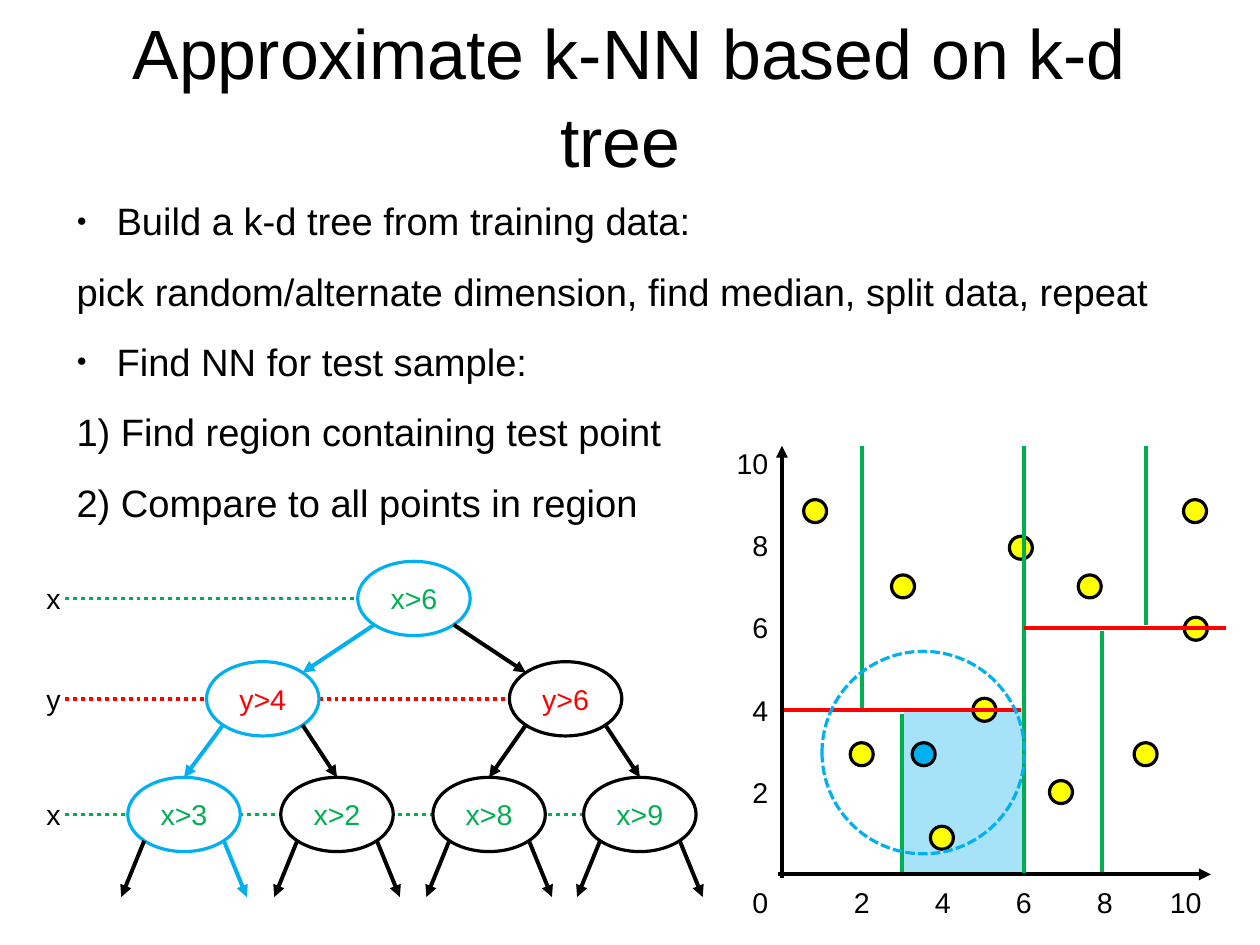
from lxml.etree import SubElement
from pptx import Presentation
from pptx.dml.color import RGBColor
from pptx.enum.dml import MSO_LINE
from pptx.enum.shapes import MSO_CONNECTOR, MSO_SHAPE
from pptx.enum.text import MSO_ANCHOR, MSO_AUTO_SIZE, PP_ALIGN
from pptx.oxml.ns import qn
from pptx.util import Cm, Pt

BLACK = RGBColor(0x00, 0x00, 0x00)
WHITE = RGBColor(0xFF, 0xFF, 0xFF)
GREEN = RGBColor(0x00, 0xB0, 0x50)
RED = RGBColor(0xFF, 0x00, 0x00)
BLUE = RGBColor(0x00, 0xB0, 0xF0)
YELLOW = RGBColor(0xFF, 0xFF, 0x00)

BODY = [
    ("Build a k-d tree from training data:", True),
    ("pick random/alternate dimension, find median, split data, repeat", False),
    ("Find NN for test sample:", True),
    ("1) Find region containing test point", False),
    ("2) Compare to all points in region", False),
]
LEVELS = [("x", 0.83, GREEN), ("y", 3.06, RED), ("x", 5.63, GREEN)]
NODES = [
    [("x>6", 8.45, BLUE)],
    [("y>4", 5.09, BLUE), ("y>6", 11.82, BLACK)],
    [("x>3", 3.34, BLUE), ("x>2", 6.74, BLACK), ("x>8", 10.12, BLACK), ("x>9", 13.47, BLACK)],
]
TEST_PATH = [(0, 0, -1), (1, 0, -1), (2, 0, 1)]
POINTS = [
    (0.85, 8.83), (3.02, 7), (2, 2.92), (3.98, 0.89), (5.03, 4), (6.92, 2),
    (10.25, 5.97), (5.93, 7.94), (7.63, 7), (10.23, 8.83), (9.01, 2.92),
]
TEST_POINT = (3.53, 2.92)
SPLITS = [
    (6, 0.03, 6, 10.42, GREEN), (2, 4, 2, 10.42, GREEN), (3, 0.06, 3, 3.9, GREEN),
    (0.08, 4, 5.93, 4, RED), (6, 6, 11, 6, RED),
    (7.93, 0.06, 7.93, 5.92, GREEN), (9.03, 6.06, 9.03, 10.42, GREEN),
]


def add_run(p, text, size, color):
    """Add a formatted run to a paragraph."""
    r = p.add_run()
    r.text = text
    r.font.size = Pt(size)
    r.font.name = "Arial"
    r.font.color.rgb = color


def add_line(s, x1, y1, x2, y2, color, dash=None, arrow=False):
    """Draw a straight line between two points given in cm."""
    c = s.shapes.add_connector(MSO_CONNECTOR.STRAIGHT, Cm(x1), Cm(y1), Cm(x2), Cm(y2))
    c.line.color.rgb = color
    c.line.width = Pt(2.5)
    if dash:
        c.line.dash_style = dash
    if arrow:
        SubElement(c.line._get_or_add_ln(), qn("a:tailEnd"), type="triangle")
    SubElement(c._element.spPr, qn("a:effectLst"))
    return c


def add_ellipse(s, cx, cy, w, h, fill, line):
    """Draw an ellipse around a centre given in cm."""
    sp = s.shapes.add_shape(MSO_SHAPE.OVAL, Cm(cx - w / 2), Cm(cy - h / 2), Cm(w), Cm(h))
    sp.shadow.inherit = False
    if fill is None:
        sp.fill.background()
    else:
        sp.fill.solid()
        sp.fill.fore_color.rgb = fill
    sp.line.color.rgb = line
    sp.line.width = Pt(2)
    return sp


def add_label(s, cx, cy, text, align=PP_ALIGN.CENTER):
    """Write a short label around a centre given in cm."""
    w, h = 1.27, 1.02
    tf = s.shapes.add_textbox(Cm(cx - w / 2), Cm(cy - h / 2), Cm(w), Cm(h)).text_frame
    tf.word_wrap = True
    p = tf.paragraphs[0]
    p.alignment = align
    add_run(p, text, 18, BLACK)


def place_text(sp, left, top, width, height, anchor):
    """Move a placeholder into a box and clear its insets."""
    sp.left, sp.top, sp.width, sp.height = Cm(left), Cm(top), Cm(width), Cm(height)
    tf = sp.text_frame
    tf.margin_left = tf.margin_right = tf.margin_top = tf.margin_bottom = 0
    tf.word_wrap = True
    tf.auto_size = MSO_AUTO_SIZE.NONE
    tf.vertical_anchor = anchor
    return tf


def add_title(s, left, top, width, height):
    """Fill the title placeholder."""
    tf = place_text(s.shapes.title, left, top, width, height, MSO_ANCHOR.MIDDLE)
    p = tf.paragraphs[0]
    p.alignment = PP_ALIGN.CENTER
    p.line_spacing = 1.05
    add_run(p, "Approximate k-NN based on k-d tree ", 44, BLACK)


def add_body(s, left, top, width, height):
    """Fill the body placeholder with bulleted and plain paragraphs."""
    tf = place_text(s.placeholders[1], left, top, width, height, MSO_ANCHOR.TOP)
    for i, (text, bullet) in enumerate(BODY):
        p = tf.paragraphs[0] if i == 0 else tf.add_paragraph()
        pPr = p._p.get_or_add_pPr()
        pPr.set("marL", str(Cm(1.19 if bullet else 0.3)))
        pPr.set("indent", str(Cm(-0.89 if bullet else 0)))
        if bullet:
            clr = SubElement(pPr, qn("a:buClr"))
            SubElement(clr, qn("a:srgbClr"), val=str(BLACK))
            SubElement(pPr, qn("a:buSzPct"), val="45000")
            SubElement(pPr, qn("a:buChar"), char="●")
        else:
            SubElement(pPr, qn("a:buNone"))
        p.line_spacing = 1.05
        p.space_before = Pt(0)
        p.space_after = Pt(14.1)
        add_run(p, text, 24, BLACK)


def add_tree(s, left, top):
    """Draw the k-d tree with its level guides and branches."""
    w, h = 2.5, 1.65
    dx, dy = w * 0.354, h * 0.354
    for (axis, y, color), row in zip(LEVELS, NODES):
        add_line(s, left + 0.7, top + y, left + row[-1][1], top + y, color, MSO_LINE.ROUND_DOT)
        add_label(s, left + 0.44, top + y, axis)
    ovals = []
    for (_, y, color), row in zip(LEVELS, NODES):
        for text, x, outline in row:
            sp = add_ellipse(s, left + x, top + y, w, h, WHITE, outline)
            tf = sp.text_frame
            tf.word_wrap = False
            tf.vertical_anchor = MSO_ANCHOR.MIDDLE
            p = tf.paragraphs[0]
            p.alignment = PP_ALIGN.CENTER
            add_run(p, text, 18, color)
            ovals.append(sp)
    for level, row in enumerate(NODES):
        y = top + LEVELS[level][1] + dy
        for i, (_, x, _) in enumerate(row):
            for side in (-1, 1):
                color = BLUE if (level, i, side) in TEST_PATH else BLACK
                x1 = left + x + side * dx
                child = 2 * i + (side > 0)
                if level == 2:
                    add_line(s, x1, y, x1 + side * 0.51, y + 1.25, color, arrow=True)
                    continue
                x2, y2 = left + NODES[level + 1][child][1], top + LEVELS[level + 1][1]
                if level == 0:
                    add_line(s, x1, y, x2 - side * dx, y2 - dy, color, arrow=True)
                else:
                    c = add_line(s, x1, y, x2, y2 - h / 2, color, arrow=True)
                    c.end_connect(ovals[3 + child], 0)


def add_plot(s, left, top, width, height):
    """Draw the split plane, with axes from 0 to 10 filling the box."""
    def at(x, y):
        """Turn data values into slide cm."""
        return left + x * width / 10, top + height - y * height / 10

    x1, y1 = at(3.05, 3.97)
    x2, y2 = at(6.03, 0.06)
    region = s.shapes.add_shape(MSO_SHAPE.RECTANGLE, Cm(x1), Cm(y1), Cm(x2 - x1), Cm(y2 - y1))
    region.shadow.inherit = False
    region.fill.solid()
    region.fill.fore_color.rgb = BLUE
    clr = region._element.spPr.find(qn("a:solidFill")).find(qn("a:srgbClr"))
    SubElement(clr, qn("a:alpha"), val="35000")
    region.line.fill.background()

    add_line(s, *at(0.03, -0.08), *at(0.03, 10.42), BLACK, arrow=True)
    add_line(s, *at(-0.06, 0), *at(10.62, 0), BLACK, arrow=True)
    for v in range(0, 11, 2):
        x, y = at(v, v)
        if v:
            add_label(s, x, top + height + 0.61, str(v))
        label_y = y if v else top + height + 0.61
        add_label(s, left - 0.66, label_y, str(v), PP_ALIGN.RIGHT)
    for point in POINTS:
        add_ellipse(s, *at(*point), 0.51, 0.51, YELLOW, BLACK)
    add_ellipse(s, *at(*TEST_POINT), 0.51, 0.51, BLUE, BLACK)
    for x1, y1, x2, y2, color in SPLITS:
        add_line(s, *at(x1, y1), *at(x2, y2), color)
    radius = add_ellipse(s, *at(3.52, 2.96), 4.5, 4.5, None, BLUE)
    radius.line.dash_style = MSO_LINE.SQUARE_DOT


def main():
    """Build the slide and save it."""
    prs = Presentation()
    prs.slide_width, prs.slide_height = Cm(28), Cm(21)
    s = prs.slides.add_slide(prs.slide_layouts[1])
    add_title(s, 1.4, 0.84, 25.2, 2.46)
    add_body(s, 1.4, 4.34, 25.2, 7.26)
    add_plot(s, 17.35, 10.29, 9, 9.14)
    add_tree(s, 0.75, 12.47)
    prs.save("out.pptx")


if __name__ == "__main__":
    main()
